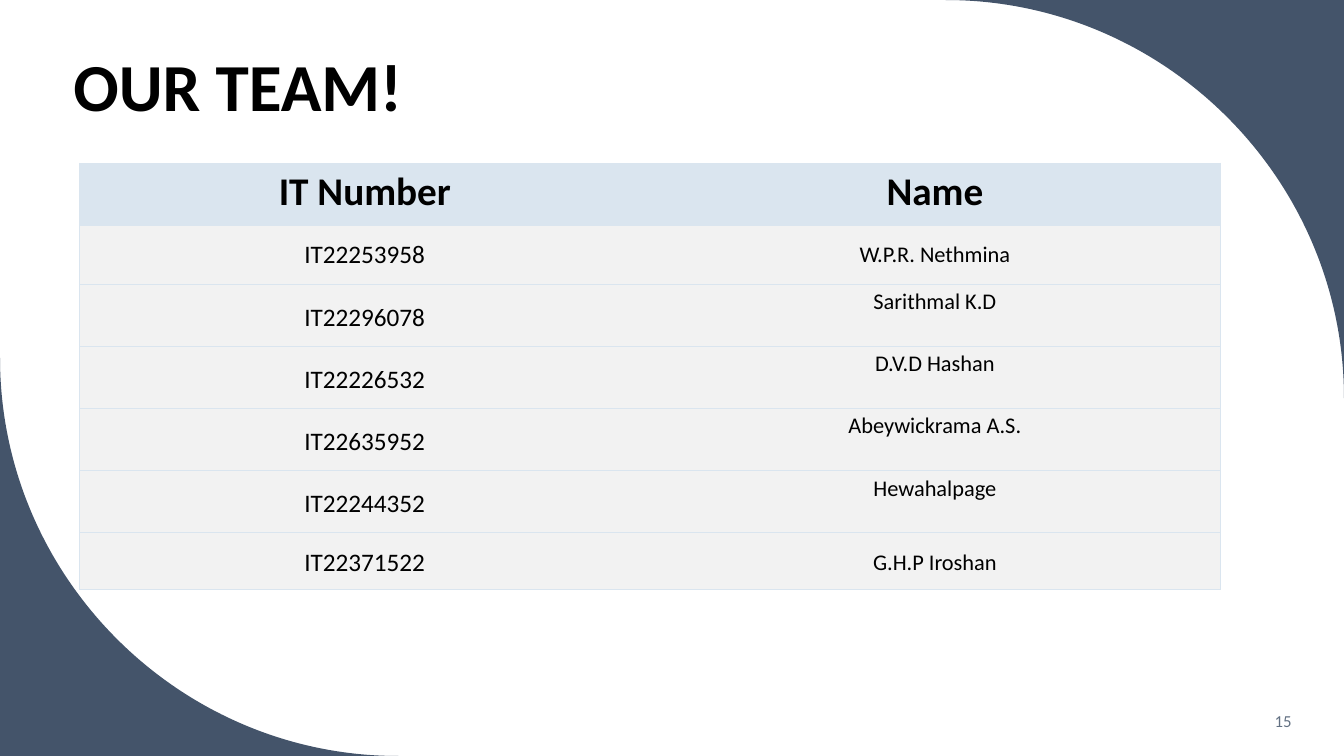
from lxml.etree import SubElement
from pptx import Presentation
from pptx.dml.color import RGBColor
from pptx.enum.text import MSO_ANCHOR as Anchor, PP_ALIGN as Align
from pptx.oxml.ns import qn
from pptx.util import Inches, Pt

WIDE, HIGH = 13.33, 7.5
NAVY, BLACK, GREY, PALE, SLATE = "44546A", "000000", "F2F2F2", "DAE5EF", "637183"
PLAIN = "{2D5ABB26-0587-4C30-8999-92F81FD0307C}"  # table style without lines or fills

TITLE, PAGE = "OUR TEAM!", "15"
HEAD = ("IT Number", "Name")
TEAM = [
    ("IT22253958", "W.P.R. Nethmina"),
    ("IT22296078", "Sarithmal K.D"),
    ("IT22226532", "D.V.D Hashan"),
    ("IT22635952", "Abeywickrama A.S."),
    ("IT22244352", "Hewahalpage"),
    ("IT22371522", "G.H.P Iroshan"),
]
ROWS = [0.62, 0.58] + [0.55] * 4 + [0.56]
LEFT, TOP, SPAN = 0.79, 1.62, 11.31
CURVE, BEND = 3.95, 0.55  # corner radius, and pull of its curve handles

deck = Presentation()
deck.slide_width, deck.slide_height = Inches(WIDE), Inches(HIGH)
slide = deck.slides.add_slide(deck.slide_layouts[6])


def paint(fill, color):
    fill.solid()
    fill.fore_color.rgb = RGBColor.from_string(color)


def style(frame, size, color=BLACK, bold=False, align=Align.LEFT, gap=1.0):
    for para in frame.paragraphs:
        para.alignment, para.line_spacing = align, gap
        for run in para.runs:
            font = run.font
            font.name, font.size, font.bold = "Calibri", Pt(size), bold
            font.color.rgb = RGBColor.from_string(color)


def corner(x, y, way):
    """Fill a slide corner up to a quarter circle; way is 1 at top right, -1 at bottom left."""
    near, far = CURVE * (1 - BEND), CURVE
    spots = [(far, 0), (near, 0), (0, near), (0, far)]
    dots = [(Inches(x - way * dx), Inches(y + way * dy)) for dx, dy in spots]
    pen = slide.shapes.build_freeform(Inches(x), Inches(y), scale=1.0)
    pen.add_line_segments(dots, close=True)
    shape = pen.convert_to_shape()
    lines = list(shape._element.iter(qn("a:lnTo")))[1:4]
    curve = SubElement(lines[0].getparent(), qn("a:cubicBezTo"))
    lines[0].addprevious(curve)
    for line in lines:
        curve.append(line[0])
        line.getparent().remove(line)
    shape.shadow.inherit = False
    paint(shape.fill, NAVY)
    shape.line.fill.background()


def label(text, box, anchor, **look):
    frame = slide.shapes.add_textbox(*map(Inches, box)).text_frame
    frame.word_wrap, frame.vertical_anchor = True, anchor
    frame.text = text
    style(frame, **look)


def border(cell, sides):
    props = cell._tc.get_or_add_tcPr()
    for side in sides:
        line = SubElement(props, qn("a:ln" + side), w=str(Pt(0.5)))
        SubElement(SubElement(line, qn("a:solidFill")), qn("a:srgbClr"), val=PALE)


corner(WIDE, 0, 1)
corner(0, HIGH, -1)
label(TITLE, (0.63, 0.55, 3.96, 0.75), Anchor.BOTTOM, size=48, bold=True, gap=0.9)
label(PAGE, (11.1, 6.95, 1.81, 0.4), Anchor.MIDDLE, size=12, color=SLATE, align=Align.RIGHT)

grid = slide.shapes.add_table(len(ROWS), 2, *map(Inches, (LEFT, TOP, SPAN, sum(ROWS)))).table
grid.first_row = grid.horz_banding = False
grid._tbl.tblPr.find(qn("a:tableStyleId")).text = PLAIN
for r, (pair, tall) in enumerate(zip([HEAD] + TEAM, ROWS)):
    grid.rows[r].height = Inches(tall)
    for c, text in enumerate(pair):
        cell = grid.cell(r, c)
        border(cell, ("L", "T", "B") if c == 0 else ("R", "T", "B"))
        paint(cell.fill, GREY if r else PALE)
        cell.text = text
        cell.vertical_anchor = Anchor.MIDDLE if r else Anchor.TOP
        if r > 1:
            raised = c == 1 and r < len(TEAM)
            cell.margin_left = cell.margin_right = Inches(0.07)
            cell.margin_top, cell.margin_bottom = 0, Inches(0.31 if raised else 0)
        style(cell.text_frame, (18, 16)[c] if r else 28, bold=r == 0,
              align=Align.CENTER, gap=1.15 if r > 1 else 1.0)

deck.save("out.pptx")
